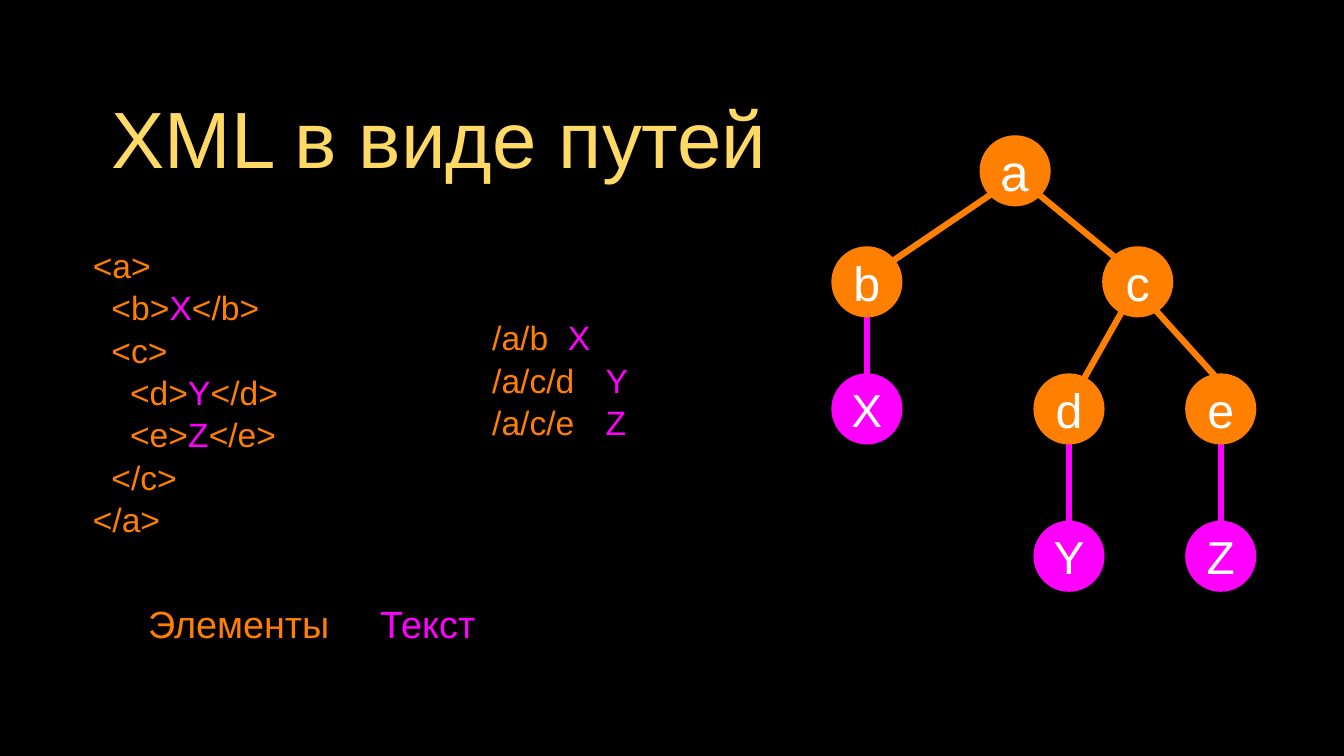
from dataclasses import dataclass

from lxml import etree
from pptx import Presentation
from pptx import util as u
from pptx.dml.color import RGBColor
from pptx.enum import shapes, text
from pptx.oxml.ns import qn


@dataclass(frozen=True)
class Theme:
    """Colours, font and type sizes of the slide."""
    back: str = "000000"
    title: str = "FFD966"
    element: str = "FF7F00"
    value: str = "FF00FF"
    light: str = "FFFFFF"
    font: str = "Arial"
    title_size: int = 76
    root_size: int = 49
    element_size: int = 46
    value_size: int = 44
    legend_size: int = 36
    code_size: int = 32
    edge: int = 6
    node: float = 2.39
    leading: float = 1.05


class Slide:
    """Draws styled elements on the current slide."""

    def __init__(self, page, theme):
        """Keep the page and theme and paint the background."""
        self.page, self.theme = page, theme
        page.background.fill.solid()
        page.background.fill.fore_color.rgb = RGBColor.from_string(theme.back)
        self.tree = page.shapes.add_group_shape()

    def fill_text(self, box, lines, size, align=text.PP_ALIGN.CENTER, inset=0.0, tab=None, leading=1.0):
        """Fill a box with lines made of (words, colour) spans."""
        frame = box.text_frame
        frame.word_wrap = True
        frame.auto_size = text.MSO_AUTO_SIZE.NONE
        frame.vertical_anchor = text.MSO_ANCHOR.MIDDLE
        frame.margin_left = frame.margin_right = u.Cm(inset)
        frame.margin_top = frame.margin_bottom = u.Cm(inset)
        for number, line in enumerate(lines):
            para = frame.add_paragraph() if number else frame.paragraphs[0]
            properties = para._p.get_or_add_pPr()
            properties.set("marL", "0")
            properties.set("indent", "0")
            etree.SubElement(properties, qn("a:buNone"))
            if tab:
                stops = etree.SubElement(properties, qn("a:tabLst"))
                etree.SubElement(stops, qn("a:tab"), pos=str(u.Cm(tab)), algn="l")
            para.alignment = align
            para.line_spacing = leading
            para.space_before = u.Pt(0)
            for words, colour in line:
                span = para.add_run()
                span.text = words
                span.font.name = self.theme.font
                span.font.size = u.Pt(size)
                span.font.color.rgb = RGBColor.from_string(colour)

    def place(self, box, left, top, width, height):
        """Move and size a placeholder."""
        box.left, box.top = u.Cm(left), u.Cm(top)
        box.width, box.height = u.Cm(width), u.Cm(height)
        return box

    def title(self, words, *area):
        """Set the slide title."""
        box = self.place(self.page.shapes.title, *area)
        self.fill_text(box, [[(words, self.theme.title)]], self.theme.title_size, inset=0.1)

    def code(self, lines, *area):
        """Set the code listing in the body placeholder."""
        box = self.place(self.page.placeholders[1], *area)
        self.fill_text(box, lines, self.theme.code_size, text.PP_ALIGN.LEFT, leading=self.theme.leading)

    def routes(self, lines, tab, *area):
        """Set routes with their values at a tab stop."""
        box = self.page.shapes.add_textbox(*map(u.Cm, area))
        self.fill_text(box, lines, self.theme.code_size, text.PP_ALIGN.LEFT, tab=tab, leading=self.theme.leading)

    def legend(self, words, colour, *area):
        """Set one legend word."""
        box = self.page.shapes.add_textbox(*map(u.Cm, area))
        self.fill_text(box, [[(words, colour)]], self.theme.legend_size)

    def node(self, name, centre, colour, size):
        """Draw a tree node around its centre."""
        side = self.theme.node
        left, top = (place - side / 2 for place in centre)
        box = self.tree.shapes.add_shape(
            shapes.MSO_SHAPE.OVAL, u.Cm(left), u.Cm(top), u.Cm(side), u.Cm(side))
        box.shadow.inherit = False
        box.fill.solid()
        box.fill.fore_color.rgb = RGBColor.from_string(colour)
        box.line.fill.background()
        self.fill_text(box, [[(name, self.theme.light)]], size)

    def edge(self, start, end, colour):
        """Draw a tree edge."""
        line = self.tree.shapes.add_connector(
            shapes.MSO_CONNECTOR.STRAIGHT, *map(u.Cm, (*start, *end)))
        line.line.color.rgb = RGBColor.from_string(colour)
        line.line.width = u.Pt(self.theme.edge)
        etree.SubElement(line._element.spPr, qn("a:effectLst"))


def main():
    """Build and save the slide."""
    deck = Presentation()
    deck.slide_width, deck.slide_height = u.Cm(45.16), u.Cm(25.4)
    theme = Theme()
    slide = Slide(deck.slides.add_slide(deck.slide_layouts[1]), theme)
    orange, pink = theme.element, theme.value

    slide.title("XML в виде путей", 3.2, 2.11, 23.11, 4.93)
    slide.code([
        [("<a>", orange)],
        [("  <b>", orange), ("X", pink), ("</b>", orange)],
        [("  <c>", orange)],
        [("    <d>", orange), ("Y", pink), ("</d>", orange)],
        [("    <e>", orange), ("Z", pink), ("</e>", orange)],
        [("  </c>", orange)],
        [("</a>", orange)],
    ], 3.12, 7.75, 6.86, 10.77)

    middle, lower, bottom = 9.47, 13.74, 18.69
    elements = {"a": (34.11, 5.74), "b": (29.13, middle), "c": (38.23, middle),
                "d": (35.92, lower), "e": (41.02, lower)}
    values = {"X": ("b", lower), "Y": ("d", bottom), "Z": ("e", bottom)}
    branches = [((33.71, 6.25), (29.67, 8.99)), ((34.72, 6.38), (37.67, 8.81)),
                ((37.77, 10.34), (36.25, 13.03)), ((38.71, 10.29), (40.84, 12.65))]
    leaves = {name: (elements[parent][0], level) for name, (parent, level) in values.items()}
    for name, (parent, _) in values.items():
        slide.edge(elements[parent], leaves[name], pink)
    for name, centre in elements.items():
        slide.node(name, centre, orange, theme.root_size if name == "a" else theme.element_size)
    for name, centre in leaves.items():
        slide.node(name, centre, pink, theme.value_size)
    for start, end in branches:
        slide.edge(start, end, orange)

    routes = [("/a/b", "X"), ("/a/c/d", "Y"), ("/a/c/e", "Z")]
    slide.routes([[(route + "\t", orange), (value, pink)] for route, value in routes],
                 4.35, 16.54, 10.39, 7.49, 4.67)
    slide.legend("Элементы", orange, 4.75, 20.07, 6.55, 1.73)
    slide.legend("Текст", pink, 12.65, 20.07, 3.45, 1.73)
    deck.save("out.pptx")


if __name__ == "__main__":
    main()
